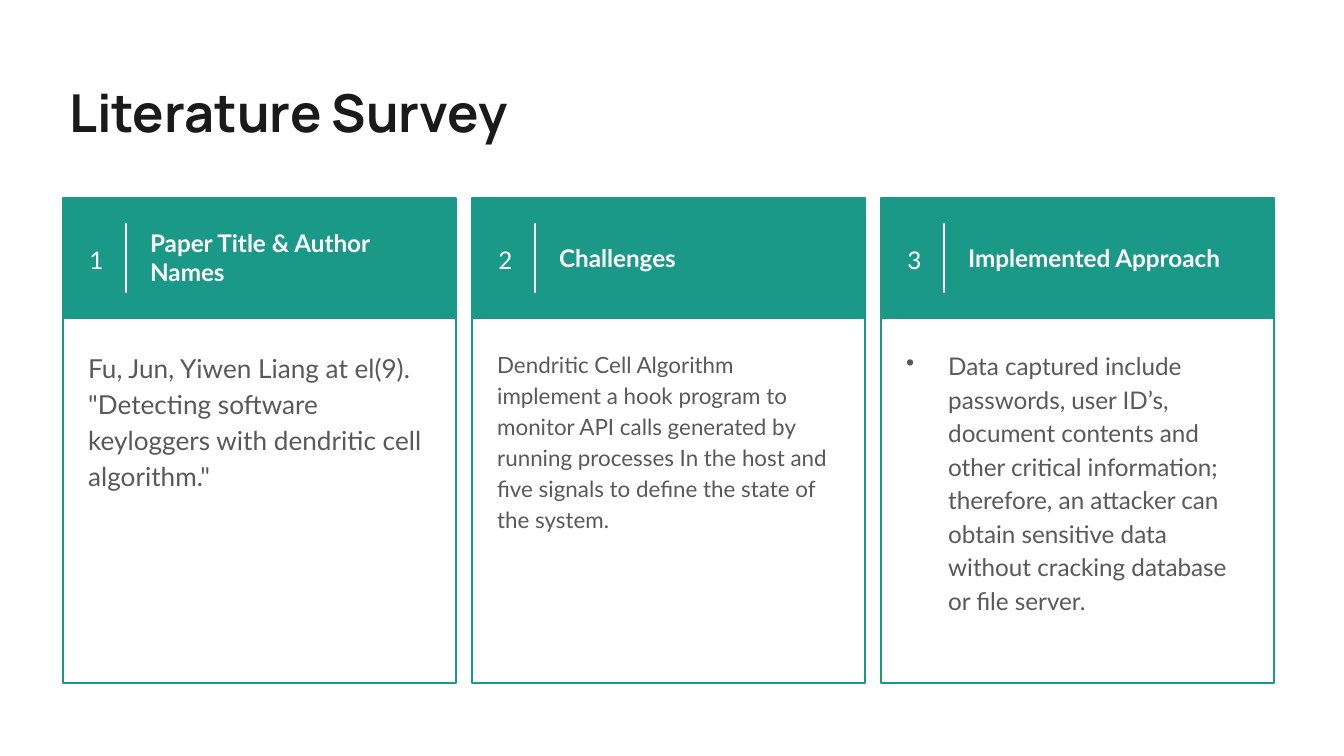
from dataclasses import dataclass

from lxml.etree import SubElement
from pptx import Presentation
from pptx.dml.color import RGBColor
from pptx.enum.shapes import MSO_CONNECTOR, MSO_SHAPE
from pptx.enum.text import MSO_ANCHOR, PP_ALIGN
from pptx.oxml.ns import qn
from pptx.util import Pt

EMU_PER_PIXEL = 914400 / 134.4


@dataclass(frozen=True)
class Theme:
    """Colours, fonts and type sizes of the slide."""
    accent: str = "1A9988"
    dark: str = "1A1A1A"
    body: str = "595959"
    white: str = "FFFFFF"
    title_font: str = "Manrope"
    text_font: str = "Lato"
    title_size: int = 28
    label_size: int = 13
    line_width: float = 0.75


THEME = Theme()

CARDS = [
    ("Paper Title & Author Names", 14, False,
     'Fu, Jun, Yiwen Liang at el(9). "Detecting software keyloggers with '
     'dendritic cell algorithm."'),
    ("Challenges", 12, False,
     "Dendritic Cell Algorithm implement a hook program to monitor API calls "
     "generated by running processes In the host and five signals to define "
     "the state of the system."),
    ("Implemented Approach", 13, True,
     "Data captured include passwords, user ID’s, document contents and other "
     "critical information; therefore, an attacker can obtain sensitive data "
     "without cracking database or file server."),
]


def px(*lengths):
    """Turn pixel lengths into EMU."""
    return [round(length * EMU_PER_PIXEL) for length in lengths]


def add_bullet(paragraph, indent):
    """Give a paragraph a hanging round bullet."""
    properties = paragraph._p.get_or_add_pPr()
    hang = px(indent)[0]
    properties.set("marL", str(hang))
    properties.set("indent", str(-hang))
    SubElement(properties, qn("a:buChar")).set("char", "•")


def add_text(slide, box, text, *, size, color, font=THEME.text_font, bold=False,
             align=PP_ALIGN.LEFT, anchor=MSO_ANCHOR.TOP, spacing=1.0, bullet=False):
    """Add a wrapped text box in the given pixel box."""
    frame = slide.shapes.add_textbox(*px(*box)).text_frame
    frame.word_wrap = True
    frame.vertical_anchor = anchor
    inset = px(13.44)[0]
    frame.margin_left = frame.margin_right = inset
    frame.margin_top = frame.margin_bottom = inset
    paragraph = frame.paragraphs[0]
    paragraph.alignment = align
    paragraph.line_spacing = spacing
    if bullet:
        paragraph.space_after = Pt(16)
        add_bullet(paragraph, 42)
    run = paragraph.add_run()
    run.text = text
    run.font.name = font
    run.font.size = Pt(size)
    run.font.bold = bold
    run.font.color.rgb = RGBColor.from_string(color)


def add_rectangle(slide, box, *, fill=None, line=None):
    """Add a rectangle with an optional fill and outline."""
    shape = slide.shapes.add_shape(MSO_SHAPE.RECTANGLE, *px(*box))
    shape.shadow.inherit = False
    if fill:
        shape.fill.solid()
        shape.fill.fore_color.rgb = RGBColor.from_string(fill)
    else:
        shape.fill.background()
    if line:
        shape.line.color.rgb = RGBColor.from_string(line)
        shape.line.width = Pt(THEME.line_width)
    else:
        shape.line.fill.background()


def add_divider(slide, x, top, bottom):
    """Add a thin white vertical line."""
    connector = slide.shapes.add_connector(MSO_CONNECTOR.STRAIGHT, *px(x, top, x, bottom))
    connector.line.color.rgb = RGBColor.from_string(THEME.white)
    connector.line.width = Pt(THEME.line_width)
    SubElement(connector._element.spPr, qn("a:effectLst"))


def add_header(slide, box, number, heading):
    """Add the coloured band with number, divider and heading."""
    left, top, width, height = box
    label = dict(size=THEME.label_size, color=THEME.white, anchor=MSO_ANCHOR.MIDDLE)
    add_rectangle(slide, box, fill=THEME.accent)
    add_text(slide, (left + 8, top - 1, 51, height), str(number),
             align=PP_ALIGN.CENTER, spacing=1.15, **label)
    add_divider(slide, left + 63, top + 25, top + 95)
    add_text(slide, (left + 74, top - 1, 309, height), heading, bold=True, **label)


def add_card(slide, box, number, heading, size, bullet, text):
    """Add one outlined card with its header and body text."""
    left, top, width, height = box
    add_rectangle(slide, box, line=THEME.accent)
    add_header(slide, (left, top, width, 121), number, heading)
    add_text(slide, (left + 12, top + 136, 372, height - 136), text, size=size,
             color=THEME.body, spacing=1.15, bullet=bullet)


def add_cards(slide, box, gap):
    """Spread the cards evenly over a box."""
    left, top, width, height = box
    card_width = (width - gap * (len(CARDS) - 1)) // len(CARDS)
    for index, card in enumerate(CARDS):
        card_left = left + index * (card_width + gap)
        add_card(slide, (card_left, top, card_width, height), index + 1, *card)


def main():
    """Build and save the slide."""
    presentation = Presentation()
    presentation.slide_width, presentation.slide_height = px(1344, 756)
    slide = presentation.slides.add_slide(presentation.slide_layouts[6])
    add_text(slide, (56, 67, 1230, 101), "Literature Survey", size=THEME.title_size,
             color=THEME.dark, font=THEME.title_font, bold=True)
    add_cards(slide, (63, 198, 1213, 485), 16)
    presentation.save("out.pptx")


main()
